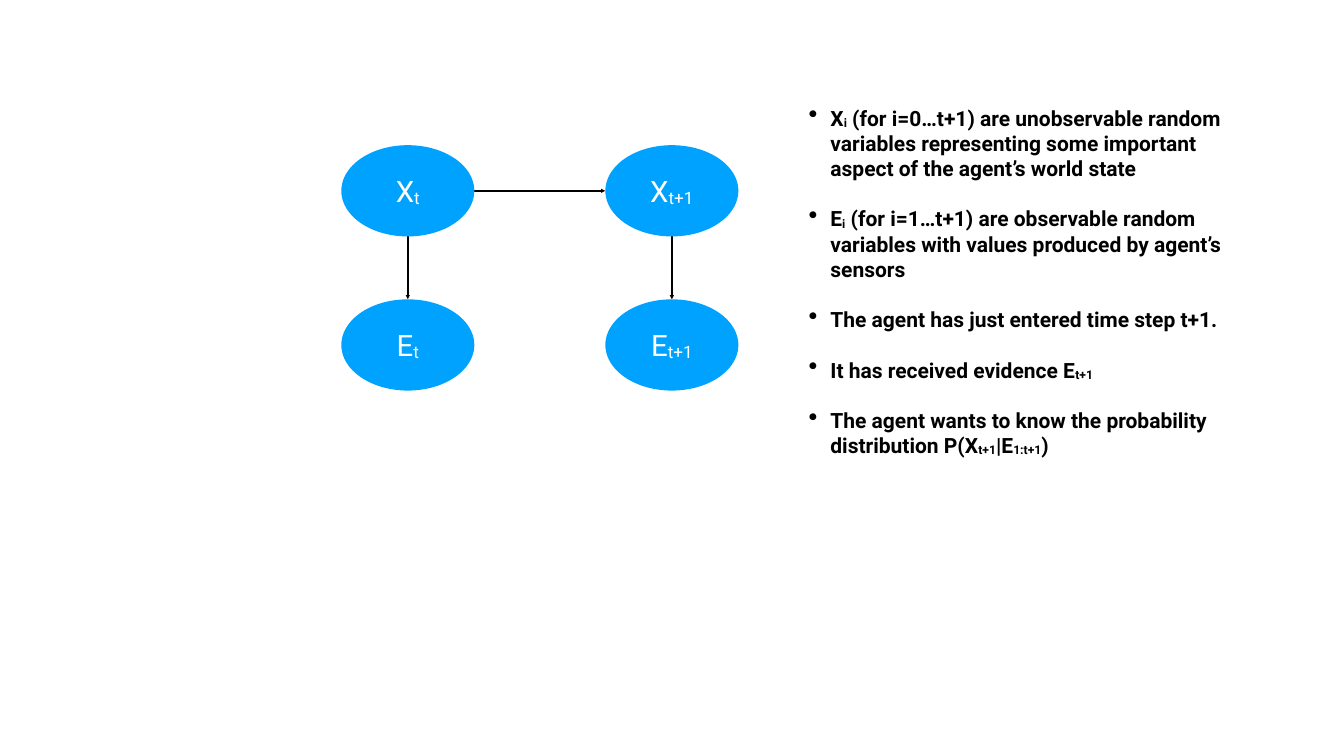
"""Build a slide showing a two-step hidden Markov model and its explanation."""
from typing import NamedTuple

from lxml.etree import SubElement
from pptx import Presentation
from pptx.dml.color import RGBColor
from pptx.enum.shapes import MSO_CONNECTOR, MSO_SHAPE
from pptx.enum.text import MSO_ANCHOR, PP_ALIGN
from pptx.oxml.ns import qn
from pptx.slide import Slide
from pptx.text.text import TextFrame, _Paragraph
from pptx.util import Pt

BLUE = RGBColor(0x00, 0xA2, 0xFF)
BLACK = RGBColor(0x00, 0x00, 0x00)
WHITE = RGBColor(0xFF, 0xFF, 0xFF)
FONT = "Roboto"
NODE_WIDTH, NODE_HEIGHT = 190, 130.4
COLUMNS = (487.6, 864.8)
ROWS = (207.4, 427.6)


class Node(NamedTuple):
    letter: str
    subscript: str
    column: int
    row: int


class Arrow(NamedTuple):
    start_x: float
    start_y: float
    end_x: float
    end_y: float


NODES = [
    Node(letter, subscript, column, row)
    for row, letter in enumerate("XE")
    for column, subscript in enumerate(("t", "t+1"))
]

ARROWS = [
    Arrow(COLUMNS[0] + NODE_WIDTH, ROWS[0] + NODE_HEIGHT / 2,
          COLUMNS[1], ROWS[0] + NODE_HEIGHT / 2),
    *(Arrow(left + NODE_WIDTH / 2, ROWS[0] + NODE_HEIGHT,
            left + NODE_WIDTH / 2, ROWS[1]) for left in COLUMNS),
]

BULLETS = [
    ("X", "i", " (for i=0…t+1) are unobservable random variables "
     "representing some important aspect of the agent’s world state"),
    ("E", "i", " (for i=1…t+1) are observable random variables "
     "with values produced by agent’s sensors"),
    ("The agent has just entered time step t+1.",),
    ("It has received evidence E", "t+1"),
    ("The agent wants to know the probability distribution P(X",
     "t+1", "|E", "1:t+1", ")"),
]


def set_margins(frame: TextFrame, margin: float) -> None:
    """Give all four sides of a text frame the same margin."""
    frame.margin_left = frame.margin_right = Pt(margin)
    frame.margin_top = frame.margin_bottom = Pt(margin)


def write_text(paragraph: _Paragraph, parts: tuple[str, ...], size: float,
               color: RGBColor, bold: bool = False) -> None:
    """Write parts that alternate between normal text and subscript."""
    font = paragraph.font
    font.name, font.size, font.bold = FONT, Pt(size), bold
    font.color.rgb = color
    for index, part in enumerate(parts):
        run = paragraph.add_run()
        run.text = part
        if index % 2:
            run.font._element.set("baseline", "-6000")


def add_bullet(paragraph: _Paragraph, indent: float) -> None:
    """Give a paragraph a hanging bullet."""
    properties = paragraph._p.get_or_add_pPr()
    properties.set("marL", str(Pt(indent)))
    properties.set("indent", str(-Pt(indent)))
    default_font = properties.find(qn("a:defRPr"))
    size = SubElement(properties, qn("a:buSzPct"), val="125000")
    character = SubElement(properties, qn("a:buChar"), char="•")
    default_font.addprevious(size)
    default_font.addprevious(character)


def draw_arrow(slide: Slide, arrow: Arrow) -> None:
    """Draw a black arrow."""
    connector = slide.shapes.add_connector(
        MSO_CONNECTOR.STRAIGHT, *(Pt(value) for value in arrow))
    connector.line.color.rgb = BLACK
    connector.line.width = Pt(2)
    SubElement(connector.line._get_or_add_ln(), qn("a:tailEnd"), type="triangle")
    SubElement(connector._element.spPr, qn("a:effectLst"))


def draw_node(slide: Slide, node: Node) -> None:
    """Draw an ellipse labelled with a subscripted variable."""
    shape = slide.shapes.add_shape(
        MSO_SHAPE.OVAL, Pt(COLUMNS[node.column]), Pt(ROWS[node.row]),
        Pt(NODE_WIDTH), Pt(NODE_HEIGHT))
    shape.shadow.inherit = False
    shape.fill.solid()
    shape.fill.fore_color.rgb = BLUE
    shape.line.fill.background()
    frame = shape.text_frame
    set_margins(frame, 0)
    frame.vertical_anchor = MSO_ANCHOR.MIDDLE
    paragraph = frame.paragraphs[0]
    paragraph.alignment = PP_ALIGN.CENTER
    write_text(paragraph, (node.letter, node.subscript), 42, WHITE)


def draw_explanation(slide: Slide) -> None:
    """Draw the bulleted explanation."""
    box = slide.shapes.add_textbox(Pt(1151.3), Pt(139.7), Pt(641.5), Pt(524.9))
    frame = box.text_frame
    frame.word_wrap = True
    frame.vertical_anchor = MSO_ANCHOR.MIDDLE
    set_margins(frame, 4)
    for index, parts in enumerate(BULLETS):
        paragraph = frame.add_paragraph() if index else frame.paragraphs[0]
        paragraph.space_before = Pt(36 if index else 0)
        write_text(paragraph, parts, 30, BLACK, bold=True)
        add_bullet(paragraph, 31)


def main() -> None:
    """Build and save the presentation."""
    presentation = Presentation()
    presentation.slide_width, presentation.slide_height = Pt(1920), Pt(1080)
    slide = presentation.slides.add_slide(presentation.slide_layouts[6])
    for arrow in ARROWS:
        draw_arrow(slide, arrow)
    draw_explanation(slide)
    for node in NODES:
        draw_node(slide, node)
    presentation.save("out.pptx")


main()
